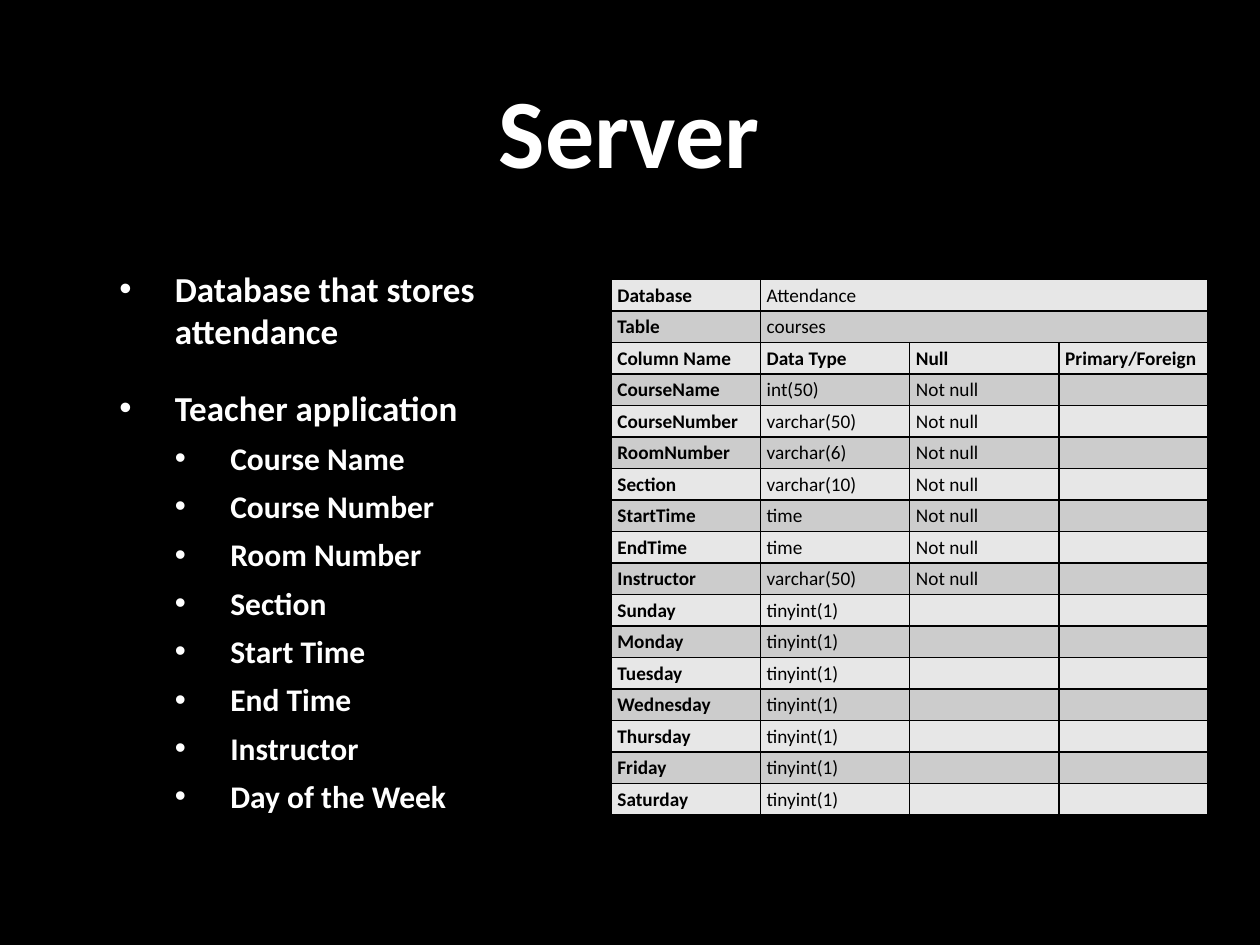
import pptx
import pptx.util
import pptx.dml.color
import pptx.enum.text
import pptx.oxml
import pptx.oxml.ns
import lxml.etree

Inches, Pt = pptx.util.Inches, pptx.util.Pt
RGBColor = pptx.dml.color.RGBColor
ALIGN, ANCHOR = pptx.enum.text.PP_ALIGN, pptx.enum.text.MSO_ANCHOR
qn = pptx.oxml.ns.qn

BLACK = RGBColor(0x00, 0x00, 0x00)
WHITE = RGBColor(0xFF, 0xFF, 0xFF)
LIGHT = RGBColor(0xE7, 0xE7, 0xE7)
GREY = RGBColor(0xCC, 0xCC, 0xCC)
FONT = "Calibri"

TOPICS = [(0, "Database that stores attendance"), (0, "Teacher application")]
TOPICS += [(1, name) for name in (
    "Course Name", "Course Number", "Room Number", "Section",
    "Start Time", "End Time", "Instructor", "Day of the Week")]

ROWS = [("Database", "Attendance"), ("Table", "courses"),
        ("Column Name", "Data Type", "Null", "Primary/Foreign")]
ROWS += [(name, kind, "Not null") for name, kind in (
    ("CourseName", "int(50)"), ("CourseNumber", "varchar(50)"),
    ("RoomNumber", "varchar(6)"), ("Section", "varchar(10)"),
    ("StartTime", "time"), ("EndTime", "time"),
    ("Instructor", "varchar(50)"))]
ROWS += [(day, "tinyint(1)") for day in (
    "Sunday", "Monday", "Tuesday", "Wednesday",
    "Thursday", "Friday", "Saturday")]
HEAD = 2  # row of column headings


def put_text(para, text, size, color=WHITE, bold=True, align=ALIGN.LEFT, space=0):
    para.alignment = align
    para.space_before = Pt(space)
    if not text:
        # An empty cell keeps the small type, so its row stays low
        end = lxml.etree.SubElement(para._p, qn("a:endParaRPr"))
        end.set("sz", str(size * 100))
        return
    run = para.add_run()
    run.text = text
    font = run.font
    font.name, font.size, font.bold = FONT, Pt(size), bold
    font.color.rgb = color


def add_box(slide, left, top, width, height, anchor):
    box = slide.shapes.add_textbox(
        Inches(left), Inches(top), Inches(width), Inches(height))
    frame = box.text_frame
    frame.word_wrap = True
    frame.vertical_anchor = anchor
    return frame


def add_title(slide, left, top, width, height):
    frame = add_box(slide, left, top, width, height, ANCHOR.MIDDLE)
    put_text(frame.paragraphs[0], "Server", 56, align=ALIGN.CENTER)


def set_bullet(para, level):
    para.level = level
    props = para._p.get_or_add_pPr()
    step = Inches(0.44)
    props.set("marL", str(step * (level + 1)))
    props.set("indent", str(-step))
    face = lxml.etree.SubElement(props, qn("a:buFont"))
    face.set("typeface", "Arial")
    mark = lxml.etree.SubElement(props, qn("a:buChar"))
    mark.set("char", "\u2022")


def add_topics(slide, left, top, width, height):
    frame = add_box(slide, left, top, width, height, ANCHOR.TOP)
    for i, (level, text) in enumerate(TOPICS):
        para = frame.add_paragraph() if i else frame.paragraphs[0]
        space = (20, 6)[level] if i else 0
        put_text(para, text, (20, 18)[level], space=space)
        set_bullet(para, level)


def set_cell(cell, text, fill, bold):
    cell.margin_left = cell.margin_right = Inches(0.05)
    cell.margin_top = cell.margin_bottom = 0
    cell.vertical_anchor = ANCHOR.MIDDLE
    put_text(cell.text_frame.paragraphs[0], text, 11, BLACK, bold)
    props = cell._tc.get_or_add_tcPr()
    for side in ("lnL", "lnR", "lnT", "lnB"):
        line = lxml.etree.SubElement(props, qn("a:" + side))
        line.set("w", str(Pt(1)))
        solid = lxml.etree.SubElement(line, qn("a:solidFill"))
        lxml.etree.SubElement(solid, qn("a:srgbClr")).set("val", str(BLACK))
    cell.fill.solid()
    cell.fill.fore_color.rgb = fill


def add_schema(slide, left, top, width, height):
    cols = 4
    table = slide.shapes.add_table(
        len(ROWS), cols, Inches(left), Inches(top),
        Inches(width), Inches(height)).table
    table.first_row = table.horz_banding = False
    for col in table.columns:
        col.width = Inches(width / cols)
    for r, row in enumerate(ROWS):
        table.rows[r].height = Inches(height / len(ROWS))
        for c in range(cols):
            text = row[c] if c < len(row) else ""
            set_cell(table.cell(r, c), text, (LIGHT, GREY)[r % 2],
                     c == 0 or r == HEAD)
        if r < HEAD:
            table.cell(r, 1).merge(table.cell(r, cols - 1))


def build():
    deck = pptx.Presentation()
    deck.slide_width, deck.slide_height = Inches(10), Inches(7.5)
    slide = deck.slides.add_slide(deck.slide_layouts[6])
    back = slide.background.fill
    back.solid()
    back.fore_color.rgb = BLACK
    add_title(slide, 0.85, 0.12, 8.29, 1.81)
    add_topics(slide, 0.85, 2.07, 4, 4.35)
    add_schema(slide, 4.85, 2.22, 4.74, 4.25)
    deck.save("out.pptx")


build()
